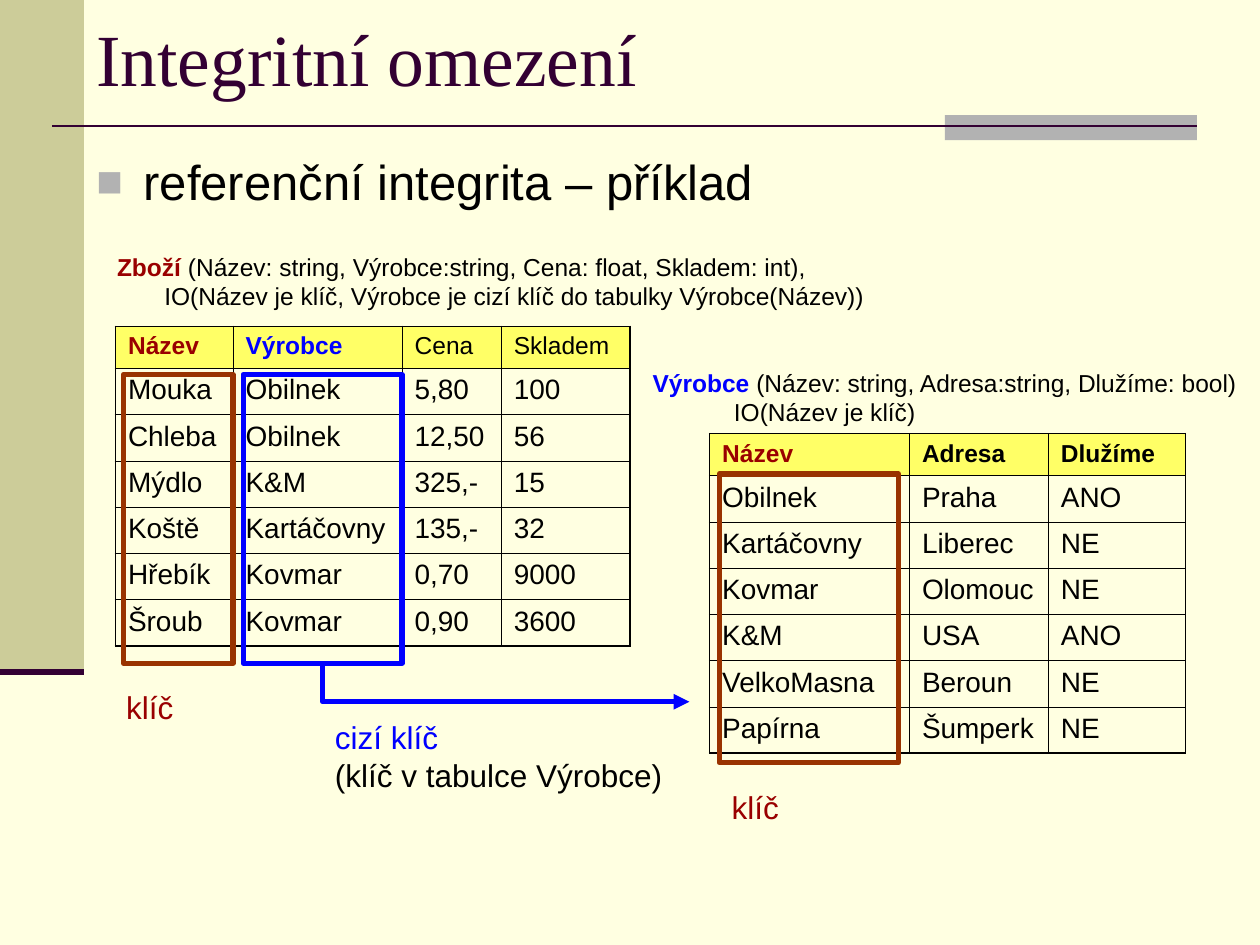
from dataclasses import dataclass

from lxml import etree
from pptx import Presentation
from pptx.dml.color import RGBColor
from pptx.enum.shapes import MSO_CONNECTOR, MSO_SHAPE
from pptx.enum.text import MSO_ANCHOR
from pptx.oxml.ns import qn
from pptx.util import Pt

RECT = MSO_SHAPE.RECTANGLE
STRAIGHT, ELBOW = MSO_CONNECTOR.STRAIGHT, MSO_CONNECTOR.ELBOW
TOP, MIDDLE = MSO_ANCHOR.TOP, MSO_ANCHOR.MIDDLE


@dataclass(frozen=True)
class Theme:
    """Colours, fonts and sizes of the slide."""
    background: str = "FFFFE1"
    sidebar: str = "CCCC99"
    grey: str = "B2B2B2"
    plum: str = "330033"
    black: str = "000000"
    key: str = "990000"
    key_frame: str = "993300"
    foreign: str = "0000FF"
    header: str = "FFFF66"
    title_font: str = "Times New Roman"
    font: str = "Arial"
    title_size: int = 42
    body_size: int = 28
    label_size: int = 18
    cell_size: int = 16
    small_size: int = 14
    frame_width: float = 3
    outer_border: float = 1.08
    inner_border: float = 0.45


T = Theme()

GOODS = [
    ["Název", "Výrobce", "Cena", "Skladem"],
    ["Mouka", "Obilnek", "5,80", "100"],
    ["Chleba", "Obilnek", "12,50", "56"],
    ["Mýdlo", "K&M", "325,-", "15"],
    ["Koště", "Kartáčovny", "135,-", "32"],
    ["Hřebík", "Kovmar", "0,70", "9000"],
    ["Šroub", "Kovmar", "0,90", "3600"],
]
MAKERS = [
    ["Název", "Adresa", "Dlužíme"],
    ["Obilnek", "Praha", "ANO"],
    ["Kartáčovny", "Liberec", "NE"],
    ["Kovmar", "Olomouc", "NE"],
    ["K&M", "USA", "ANO"],
    ["VelkoMasna", "Beroun", "NE"],
    ["Papírna", "Šumperk", "NE"],
]


def rgb(color):
    """Turn a hex string into a colour."""
    return RGBColor.from_string(color)


def style_run(r, size, color, bold=False, font=T.font):
    """Set the look of a run."""
    r.font.name, r.font.size, r.font.bold = font, Pt(size), bold
    r.font.color.rgb = rgb(color)


def add_text(slide, box, lines, size, font=T.font, anchor=TOP, indent=0):
    """Add a text box whose lines are lists of (text, colour, bold) runs."""
    tf = slide.shapes.add_textbox(*map(Pt, box)).text_frame
    tf.word_wrap, tf.vertical_anchor = True, anchor
    for i, line in enumerate(lines):
        p = tf.add_paragraph() if i else tf.paragraphs[0]
        if i and indent:
            p._p.get_or_add_pPr().set("marL", str(Pt(indent)))
        for text, color, bold in line:
            r = p.add_run()
            r.text = text
            style_run(r, size, color, bold, font)
    return tf


def add_bullet(p, indent):
    """Give a paragraph a hanging square bullet."""
    pPr = p._p.get_or_add_pPr()
    pPr.set("marL", str(Pt(indent)))
    pPr.set("indent", str(-Pt(indent)))
    color = etree.SubElement(pPr, qn("a:buClr"))
    etree.SubElement(color, qn("a:srgbClr"), val=T.grey)
    etree.SubElement(pPr, qn("a:buSzPct"), val="90000")
    etree.SubElement(pPr, qn("a:buFont"), typeface=T.font)
    etree.SubElement(pPr, qn("a:buChar"), char="■")


def add_block(slide, box, color):
    """Add a filled rectangle without outline."""
    sp = slide.shapes.add_shape(RECT, *map(Pt, box))
    sp.shadow.inherit = False
    sp.fill.solid()
    sp.fill.fore_color.rgb = rgb(color)
    sp.line.fill.background()


def add_frame(slide, box, color):
    """Add an empty rectangle that marks a column."""
    sp = slide.shapes.add_shape(RECT, *map(Pt, box))
    sp.shadow.inherit = False
    sp.fill.background()
    sp.line.color.rgb, sp.line.width = rgb(color), Pt(T.frame_width)


def add_line(slide, start, end, color, width, kind=STRAIGHT):
    """Add a connector without shadow."""
    cxn = slide.shapes.add_connector(kind, *map(Pt, (*start, *end)))
    cxn.line.color.rgb, cxn.line.width = rgb(color), Pt(width)
    etree.SubElement(cxn._element.spPr, qn("a:effectLst"))
    return cxn


def add_down_right_arrow(slide, start, end, color):
    """Add an elbow arrow that runs down and then right."""
    cx, cy = (start[0] + end[0]) / 2, (start[1] + end[1]) / 2
    dx, dy = (end[1] - start[1]) / 2, (end[0] - start[0]) / 2
    cxn = add_line(slide, (cx + dx, cy - dy), (cx - dx, cy + dy),
                   color, T.frame_width, ELBOW)
    spPr = cxn._element.spPr
    spPr.find(qn("a:xfrm")).set("rot", str(270 * 60000))
    spPr.find(qn("a:prstGeom")).set("prst", "bentConnector2")
    etree.SubElement(spPr.find(qn("a:ln")), qn("a:tailEnd"), type="triangle")


def set_borders(cell, outer):
    """Draw the cell borders, thicker on the outer sides."""
    tcPr = cell._tc.get_or_add_tcPr()
    for side in "LRTB":
        width = T.outer_border if side in outer else T.inner_border
        ln = etree.SubElement(tcPr, qn(f"a:ln{side}"), w=str(Pt(width)))
        fill = etree.SubElement(ln, qn("a:solidFill"))
        etree.SubElement(fill, qn("a:srgbClr"), val=T.black)


def add_data_table(slide, left, top, widths, rows, header_styles):
    """Add a table whose header styles are (colour, bold) pairs."""
    heights = [24] + [26.4] * (len(rows) - 1)
    table = slide.shapes.add_table(
        len(rows), len(widths),
        *map(Pt, (left, top, sum(widths), sum(heights)))).table
    table.first_row = table.horz_banding = False
    for column, width in zip(table.columns, widths):
        column.width = Pt(width)
    for i, values in enumerate(rows):
        table.rows[i].height = Pt(heights[i])
        for j, value in enumerate(values):
            cell = table.cell(i, j)
            edges = {"T": i == 0, "B": i == len(rows) - 1,
                     "L": j == 0, "R": j == len(widths) - 1}
            set_borders(cell, [side for side, outer in edges.items() if outer])
            cell.text_frame.text = value
            r = cell.text_frame.paragraphs[0].runs[0]
            if i == 0:
                cell.fill.solid()
                cell.fill.fore_color.rgb = rgb(T.header)
                style_run(r, T.small_size, *header_styles[j])
            else:
                cell.fill.background()
                style_run(r, T.cell_size, T.black)


def add_key(slide, label_at, frame_box):
    """Mark a key column with a frame and a label."""
    add_text(slide, (*label_at, 108, 28.8), [[("klíč", T.key, False)]], T.label_size)
    add_frame(slide, frame_box, T.key_frame)


def add_schema(slide, box, name, color, columns, constraint, indent):
    """Write a table schema with its integrity constraint below."""
    add_text(slide, box, [[(name, color, True), (columns, T.black, False)],
                          [(constraint, T.black, False)]],
             T.small_size, indent=indent)


def add_decoration(slide):
    """Add the background, side bar and rules."""
    slide.background.fill.solid()
    slide.background.fill.fore_color.rgb = rgb(T.background)
    add_block(slide, (0, 0, 48, 384), T.sidebar)
    add_block(slide, (540, 65.8, 144, 14.4), T.grey)
    add_line(slide, (30, 72), (684, 72), T.plum, 1.5)
    add_line(slide, (0, 384), (48, 384), T.plum, 3.5)


def main():
    """Build the slide and save it."""
    prs = Presentation()
    prs.slide_width, prs.slide_height = Pt(720), Pt(540)
    slide = prs.slides.add_slide(prs.slide_layouts[6])
    add_decoration(slide)
    add_text(slide, (48, 0, 672, 65.5), [[("Integritní omezení", T.plum, False)]],
             T.title_size, T.title_font, MIDDLE)
    body = add_text(slide, (48, 83, 672, 457),
                    [[("referenční integrita – příklad", T.black, False)]], T.body_size)
    add_bullet(body.paragraphs[0], 27)

    plain, strong = (T.black, False), (T.black, True)
    key, foreign = (T.key, True), (T.foreign, True)
    add_data_table(slide, 66, 186.5, [67.2, 96.6, 56.7, 73.5], GOODS,
                   [key, foreign, plain, plain])
    add_data_table(slide, 405.5, 247.8, [114.2, 79.4, 78.4], MAKERS,
                   [key, strong, strong])

    add_key(slide, (65, 389.5), (70.6, 214, 62.6, 165))
    add_key(slide, (411, 446.5), (411, 270.8, 102.4, 165))
    add_text(slide, (184.3, 406.8, 209.5, 50.4),
             [[("cizí klíč", T.foreign, False)],
              [("(klíč v tabulce Výrobce)", T.black, False)]], T.label_size)
    add_frame(slide, (139, 214, 90.7, 165), T.foreign)
    add_down_right_arrow(slide, (184.3, 380), (394, 401), T.foreign)

    add_schema(slide, (59.8, 140.4, 607, 41), "Zboží", T.key,
               " (Název: string, Výrobce:string, Cena: float, Skladem: int),",
               "IO(Název je klíč, Výrobce je cizí klíč do tabulky Výrobce(Název))", 27)
    add_schema(slide, (365.8, 206.6, 354.2, 66), "Výrobce", T.foreign,
               " (Název: string, Adresa:string, Dlužíme: bool)",
               "IO(Název je klíč)", 46.5)
    prs.save("out.pptx")


if __name__ == "__main__":
    main()
